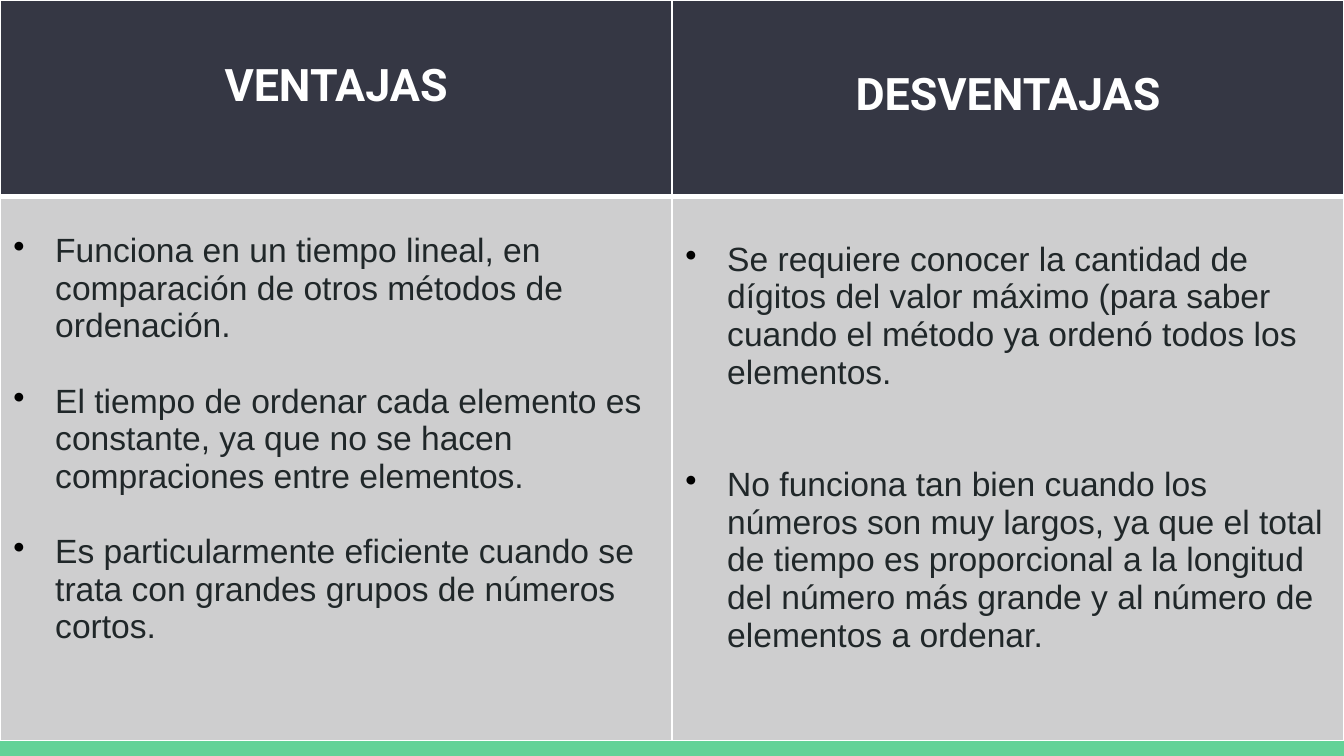
from dataclasses import dataclass

import pptx
import pptx.dml.color
import pptx.enum.shapes
import pptx.enum.text
import pptx.oxml
import pptx.oxml.ns
import pptx.util
from lxml import etree

Cm = pptx.util.Cm
Pt = pptx.util.Pt


@dataclass(frozen=True)
class Theme:
    header_fill: str = "353744"
    header_text: str = "FFFFFF"
    body_fill: str = "CECECF"
    body_text: str = "202729"
    bullet: str = "000000"
    border: str = "FFFFFF"
    accent: str = "63D297"
    header_font: str = "Roboto"
    body_font: str = "Arial"
    header_size: float = 24
    body_size: float = 18
    thin_border: float = 1
    thick_border: float = 3


@dataclass(frozen=True)
class Column:
    heading: str
    heading_top: float
    points: tuple[str, ...]
    points_top: float
    point_gap: float


THEME = Theme()
SLIDE_WIDTH = 25.4
SLIDE_HEIGHT = 14.29
HEADER_HEIGHT = 3.71
BODY_HEIGHT = 10.29
BAR_TOP = 14.01
BULLET_INDENT = 0.79

COLUMNS = (
    Column(
        "VENTAJAS",
        1.14,
        (
            "Funciona en un tiempo lineal, en comparación de otros métodos de ordenación.",
            "El tiempo de ordenar cada elemento es constante, ya que no se hacen "
            "compraciones entre elementos.",
            "Es particularmente eficiente cuando se trata con grandes grupos de números cortos.",
        ),
        0.68,
        20.1,
    ),
    Column(
        "DESVENTAJAS",
        1.31,
        (
            "Se requiere conocer la cantidad de dígitos del valor máximo (para saber "
            "cuando el método ya ordenó todos los elementos.",
            "No funciona tan bien cuando los números son muy largos, ya que el total "
            "de tiempo es proporcional a la longitud del número más grande y al número "
            "de elementos a ordenar.",
        ),
        0.84,
        40.2,
    ),
)


def color(value: str) -> pptx.dml.color.RGBColor:
    return pptx.dml.color.RGBColor.from_string(value)


def add_color(parent: etree._Element, value: str) -> None:
    etree.SubElement(parent, pptx.oxml.ns.qn("a:srgbClr"), val=value)


def add_run(paragraph, text: str, font: str, size: float, fill: str, bold: bool) -> None:
    run = paragraph.add_run()
    run.text = text
    run.font.name = font
    run.font.size = Pt(size)
    run.font.bold = bold
    run.font.color.rgb = color(fill)


def add_bullet(paragraph) -> None:
    properties = paragraph._p.get_or_add_pPr()
    properties.set("marL", str(Cm(BULLET_INDENT)))
    properties.set("indent", str(-Cm(BULLET_INDENT)))
    add_color(etree.SubElement(properties, pptx.oxml.ns.qn("a:buClr")), THEME.bullet)
    etree.SubElement(properties, pptx.oxml.ns.qn("a:buChar"), char="•")


def format_cell(cell, fill: str, top: float, top_border: float, bottom_border: float) -> None:
    cell.fill.solid()
    cell.fill.fore_color.rgb = color(fill)
    cell.vertical_anchor = pptx.enum.text.MSO_ANCHOR.TOP
    cell.margin_top = Cm(top)
    properties = cell._tc.get_or_add_tcPr()
    widths = {
        "a:lnL": THEME.thin_border,
        "a:lnR": THEME.thin_border,
        "a:lnT": top_border,
        "a:lnB": bottom_border,
    }
    for position, (tag, width) in enumerate(widths.items()):
        line = pptx.oxml.parse_xml(f"<{tag} {pptx.oxml.ns.nsdecls('a')}/>")
        line.set("w", str(Pt(width)))
        add_color(etree.SubElement(line, pptx.oxml.ns.qn("a:solidFill")), THEME.border)
        properties.insert(position, line)


def fill_header(cell, column: Column) -> None:
    format_cell(cell, THEME.header_fill, column.heading_top, THEME.thin_border, THEME.thick_border)
    paragraph = cell.text_frame.paragraphs[0]
    paragraph.alignment = pptx.enum.text.PP_ALIGN.CENTER
    add_run(paragraph, column.heading, THEME.header_font, THEME.header_size,
            THEME.header_text, True)


def fill_body(cell, column: Column) -> None:
    format_cell(cell, THEME.body_fill, column.points_top, THEME.thick_border, THEME.thin_border)
    for index, point in enumerate(column.points):
        frame = cell.text_frame
        paragraph = frame.add_paragraph() if index else frame.paragraphs[0]
        if index:
            paragraph.space_before = Pt(column.point_gap)
        add_bullet(paragraph)
        add_run(paragraph, point, THEME.body_font, THEME.body_size, THEME.body_text, False)


def add_bottom_bar(slide) -> None:
    bar = slide.shapes.add_shape(
        pptx.enum.shapes.MSO_SHAPE.RECTANGLE,
        Cm(0), Cm(BAR_TOP), Cm(SLIDE_WIDTH), Cm(SLIDE_HEIGHT - BAR_TOP),
    )
    bar.shadow.inherit = False
    bar.fill.solid()
    bar.fill.fore_color.rgb = color(THEME.accent)
    bar.line.fill.background()


def add_comparison(slide, columns: tuple[Column, ...]) -> None:
    table = slide.shapes.add_table(
        2, len(columns), Cm(0), Cm(0), Cm(SLIDE_WIDTH), Cm(HEADER_HEIGHT + BODY_HEIGHT)
    ).table
    table.horz_banding = False
    table.rows[0].height = Cm(HEADER_HEIGHT)
    table.rows[1].height = Cm(BODY_HEIGHT)
    for index, column in enumerate(columns):
        table.columns[index].width = Cm(SLIDE_WIDTH / len(columns))
        fill_header(table.cell(0, index), column)
        fill_body(table.cell(1, index), column)


def main() -> None:
    presentation = pptx.Presentation()
    presentation.slide_width = Cm(SLIDE_WIDTH)
    presentation.slide_height = Cm(SLIDE_HEIGHT)
    slide = presentation.slides.add_slide(presentation.slide_layouts[6])
    add_bottom_bar(slide)
    add_comparison(slide, COLUMNS)
    presentation.save("out.pptx")


if __name__ == "__main__":
    main()
